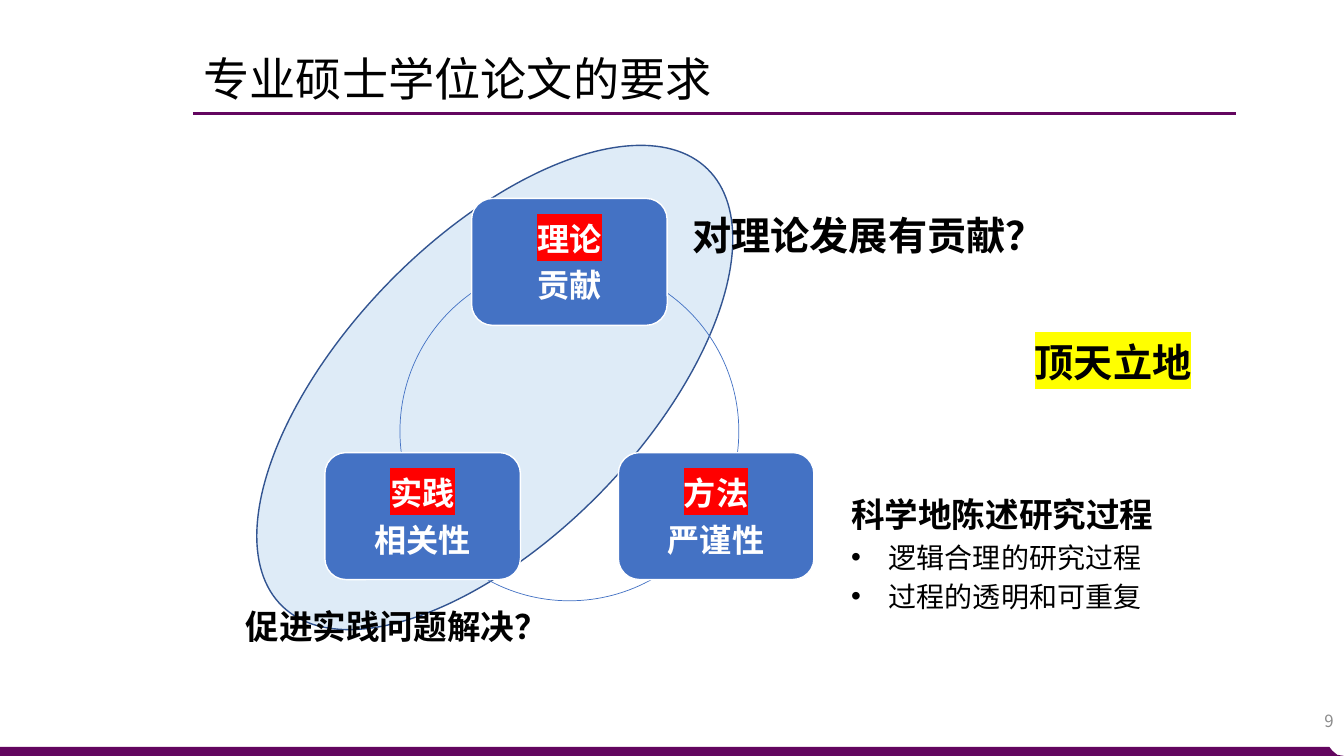
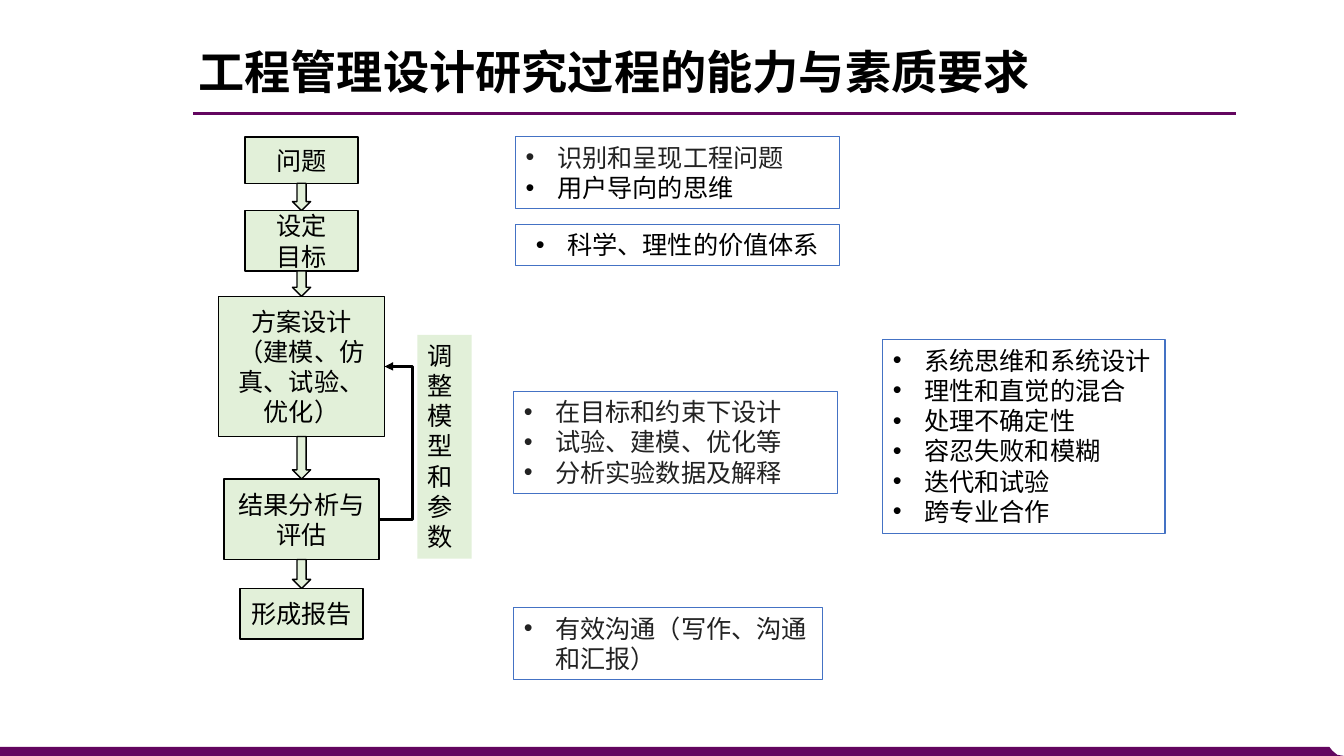
import math
from lxml import etree
from pptx import Presentation
from pptx.dml.color import RGBColor
from pptx.enum import shapes as sh, text as tx
from pptx.oxml import ns
from pptx.util import Cm, Pt

# Shared style
COLORS = {
    "purple": "63065F", "blue": "4472C4", "navy": "325491", "pale_blue": "DEEBF7",
    "pale_green": "E2F0D9", "red": "FF0000", "yellow": "FFFF00", "white": "FFFFFF",
    "black": "000000", "ink": "222222", "gray": "8C8C8C",
}
CJK = "Noto Sans CJK SC"
LINE_FACTOR = 1.2
LEFT, CENTER, RIGHT = tx.PP_ALIGN.LEFT, tx.PP_ALIGN.CENTER, tx.PP_ALIGN.RIGHT
TOP, MIDDLE = tx.MSO_ANCHOR.TOP, tx.MSO_ANCHOR.MIDDLE
RECT = sh.MSO_SHAPE.RECTANGLE

# Content of the requirements slide; boxes are left, top, width, height in cm
REQUIREMENTS_TITLE = "专业硕士学位论文的要求"
CYCLE_CENTER, CYCLE_RADIUS = (14.35, 10.87), 4.27
CARD_SIZE = (4.93, 3.2)
CARDS = [("理论", "贡献"), ("方法", "严谨性"), ("实践", "相关性")]
REMARKS = [
    ("对理论发展有贡献？", (17.2, 5.2, 9.45, 1.85), {"size": 28}),
    ("促进实践问题解决？", (5.94, 15.14, 8.08, 1.6), {"size": 24}),
    ("顶天立地", (25.83, 8.4, 4.85, 1.85), {"size": 28, "mark": "yellow"}),
]
METHOD_BOX = (21.2, 12.32, 9.2, 3.38)
METHOD_HEAD = "科学地陈述研究过程"
METHOD_POINTS = ["逻辑合理的研究过程", "过程的透明和可重复"]
PAGE_NUMBER = "9"

# Content of the process slide
PROCESS_TITLE = "工程管理设计研究过程的能力与素质要求"
FLOW_CENTER = 7.6
STEPS = [  # lines, top, width, height
    (["问题"], 3.45, 2.84, 1.17),
    (["设定", "目标"], 5.31, 2.84, 1.52),
    (["方案设计", "（建模、仿真、试验、优化）"], 7.47, 4.19, 3.53),
    (["结果分析与评估"], 12.07, 3.91, 2.03),
    (["形成报告"], 14.83, 3.1, 1.27),
]
DESIGN_STEP, REVIEW_STEP = 2, 3
LOOP_LABEL, LOOP_BOX, LOOP_X = "调整模型和参数", (10.52, 8.44, 1.37, 5.64), 10.39
SKILLS = [
    (["识别和呈现工程问题", ("用户导向的思维", {"color": "black"})],
     (13, 3.45, 8.15, 1.8), {"color": "ink"}),
    (["科学、理性的价值体系"], (13, 5.66, 8.15, 1.02), {"align": CENTER}),
    (["在目标和约束下设计", "试验、建模、优化等", "分析实验数据及解释"],
     (12.95, 9.86, 8.15, 2.57), {"color": "ink"}),
    (["有效沟通（写作、沟通和汇报）"], (12.95, 15.32, 7.77, 1.8), {"color": "ink"}),
]
TRAITS_BOX = (22.25, 8.56, 7.11, 4.88)
TRAITS = ["系统思维和系统设计", "理性和直觉的混合", "处理不确定性",
          "容忍失败和模糊", "迭代和试验", "跨专业合作"]


def rgb(name):
    return RGBColor.from_string(COLORS[name])


def add_xml(parent, tag, **attrs):
    return etree.SubElement(parent, ns.qn(tag), attrs)


def write_paragraph(p, words, size=18, color="black", bold=False, align=LEFT,
                    bullet=None, before=0, mark=None, latin=CJK):
    """Fill one paragraph; bullet is the hanging indent in cm."""
    pPr = p._p.get_or_add_pPr()
    hang = Cm(bullet or 0)
    pPr.set("marL", str(hang))
    pPr.set("indent", str(-hang))
    if bullet:
        add_xml(pPr, "a:buFont", typeface="Arial")
        add_xml(pPr, "a:buChar", char="•")
    else:
        add_xml(pPr, "a:buNone")
    p.alignment = align
    p.line_spacing = Pt(round(size * LINE_FACTOR, 1))
    p.space_before, p.space_after = Pt(before), Pt(0)

    r = p.add_run()
    r.text = words
    r.font.size, r.font.bold, r.font.name = Pt(size), bold, latin
    r.font.color.rgb = rgb(color)
    rPr = r.font._element
    latin_el = rPr.find(ns.qn("a:latin"))
    if mark:
        highlight = etree.Element(ns.qn("a:highlight"))
        add_xml(highlight, "a:srgbClr", val=COLORS[mark])
        latin_el.addprevious(highlight)
    east = etree.Element(ns.qn("a:ea"), typeface=CJK)
    latin_el.addnext(east)


def write(sp, lines, anchor=TOP, **fmt):
    """Each line is a string, or a string with its own format."""
    tf = sp.text_frame
    tf.word_wrap, tf.auto_size = True, tx.MSO_AUTO_SIZE.NONE
    tf.vertical_anchor = anchor
    tf.margin_left = tf.margin_right = Cm(0.25)
    tf.margin_top = tf.margin_bottom = Cm(0.13)
    for i, line in enumerate(lines):
        words, own = (line, {}) if isinstance(line, str) else line
        p = tf.add_paragraph() if i else tf.paragraphs[0]
        write_paragraph(p, words, **{**fmt, **own})


def place(sp, box):
    sp.left, sp.top, sp.width, sp.height = map(Cm, box)


def paint(sp, fill=None, line=None, width=1):
    if fill:
        sp.fill.solid()
        sp.fill.fore_color.rgb = rgb(fill)
    else:
        sp.fill.background()
    if line:
        sp.line.color.rgb, sp.line.width = rgb(line), Pt(width)
    else:
        sp.line.fill.background()


def add_shape(s, kind, box, **look):
    sp = s.shapes.add_shape(kind, *map(Cm, box))
    sp.shadow.inherit = False
    paint(sp, **look)
    return sp


def add_text(s, box, lines, **fmt):
    write(s.shapes.add_textbox(*map(Cm, box)), lines, **fmt)


def style_connector(line, color, width):
    line.line.color.rgb, line.line.width = rgb(color), Pt(width)
    add_xml(line.element.spPr, "a:effectLst")


def add_slide(prs, title, box, **fmt):
    s = prs.slides.add_slide(prs.slide_layouts[1])
    place(s.shapes.title, box)
    write(s.shapes.title, [title], anchor=MIDDLE, size=33, **fmt)
    return s, s.placeholders[1]


def decorate_master(prs, s):
    """Draw the footer band and title rule, then move them to the master."""
    edge = [(33.5, 18.82), (33.58, 18.92), (33.7, 19.02), (33.87, 19.05), (0, 19.05)]
    outline = s.shapes.build_freeform(0, Cm(18.82))
    outline.add_line_segments([(Cm(x), Cm(y)) for x, y in edge], close=True)
    band = outline.convert_to_shape()
    band.shadow.inherit = False
    paint(band, fill="purple")
    rule = s.shapes.add_connector(sh.MSO_CONNECTOR.STRAIGHT,
                                  Cm(4.86), Cm(2.85), Cm(31.14), Cm(2.85))
    style_connector(rule, "purple", 2.25)
    for number, part in enumerate((band, rule), start=101):
        part.element.xpath(".//p:cNvPr")[0].set("id", str(number))
        prs.slide_master.shapes.element.append(part.element)


def build_requirements(prs):
    s, body = add_slide(prs, REQUIREMENTS_TITLE, (4.88, 1.07, 26.29, 1.8))
    decorate_master(prs, s)

    # Tilted ellipse and cycle
    ellipse = add_shape(s, sh.MSO_SHAPE.OVAL, (8.71, 2.08, 7.52, 15.37),
                        fill="pale_blue", line="navy")
    ellipse.rotation = 44.2
    cx, cy = CYCLE_CENTER
    ring = (cx - CYCLE_RADIUS, cy - CYCLE_RADIUS, 2 * CYCLE_RADIUS, 2 * CYCLE_RADIUS)
    add_shape(s, sh.MSO_SHAPE.OVAL, ring, line="blue", width=0.5)

    # Cards at equal angles, clockwise from the top
    w, h = CARD_SIZE
    for i, (head, tail) in enumerate(CARDS):
        angle = 2 * math.pi * i / len(CARDS)
        x = cx + CYCLE_RADIUS * math.sin(angle) - w / 2
        y = cy - CYCLE_RADIUS * math.cos(angle) - h / 2
        card = add_shape(s, sh.MSO_SHAPE.ROUNDED_RECTANGLE, (x, y, w, h),
                         fill="blue", line="white")
        write(card, [(head, {"mark": "red"}), (tail, {"before": 5.4})], anchor=MIDDLE,
              size=23, color="white", bold=True, align=CENTER, latin="Arial")

    # Remarks, method list and page number
    for words, box, fmt in REMARKS:
        add_text(s, box, [words], bold=True, **fmt)
    place(body, METHOD_BOX)
    point = {"bullet": 0.95, "before": 4}
    write(body, [(METHOD_HEAD, {"size": 24, "bold": True})]
          + [(words, point) for words in METHOD_POINTS], size=20)
    add_text(s, (26.24, 17.65, 7.62, 1.02), [PAGE_NUMBER], anchor=MIDDLE,
             size=12, color="gray", align=RIGHT)


def build_process(prs):
    s, body = add_slide(prs, PROCESS_TITLE, (4.75, 1.07, 21.77, 1.42),
                        bold=True, latin="Times New Roman")

    # Flow boxes, with an arrow filling each gap
    boxes = []
    for i, (lines, top, w, h) in enumerate(STEPS):
        step = add_shape(s, RECT, (FLOW_CENTER - w / 2, top, w, h),
                         fill="pale_green", line="black")
        write(step, lines, anchor=MIDDLE, align=CENTER)
        boxes.append(step)
        if i + 1 < len(STEPS):
            gap = STEPS[i + 1][1] - top - h
            add_shape(s, sh.MSO_SHAPE.DOWN_ARROW,
                      (FLOW_CENTER - 0.23, top + h, 0.46, gap),
                      fill="pale_green", line="black")

    # Feedback loop
    label = add_shape(s, RECT, LOOP_BOX, fill="pale_green")
    write(label, [LOOP_LABEL])
    loop = s.shapes.add_connector(sh.MSO_CONNECTOR.ELBOW, 0, 0, 0, 0)
    loop.begin_connect(boxes[DESIGN_STEP], 3)
    loop.end_connect(boxes[REVIEW_STEP], 3)
    style_connector(loop, "black", 2)
    add_xml(loop.line._get_or_add_ln(), "a:headEnd", type="triangle")
    bend = (Cm(LOOP_X) - loop.begin_x) / (loop.end_x - loop.begin_x)
    guides = loop.element.spPr.find(ns.qn("a:prstGeom")).find(ns.qn("a:avLst"))
    add_xml(guides, "a:gd", name="adj1", fmla=f"val {round(bend * 100000)}")

    # Skills and traits
    for lines, box, fmt in SKILLS:
        skill = add_shape(s, RECT, box, line="blue", width=0.75)
        write(skill, lines, bullet=0.79, **fmt)
    place(body, TRAITS_BOX)
    paint(body, line="blue", width=0.75)
    write(body, TRAITS, bullet=0.79)


def main():
    prs = Presentation()
    prs.slide_width, prs.slide_height = Cm(33.87), Cm(19.05)
    build_requirements(prs)
    build_process(prs)
    prs.save("out.pptx")


if __name__ == "__main__":
    main()
